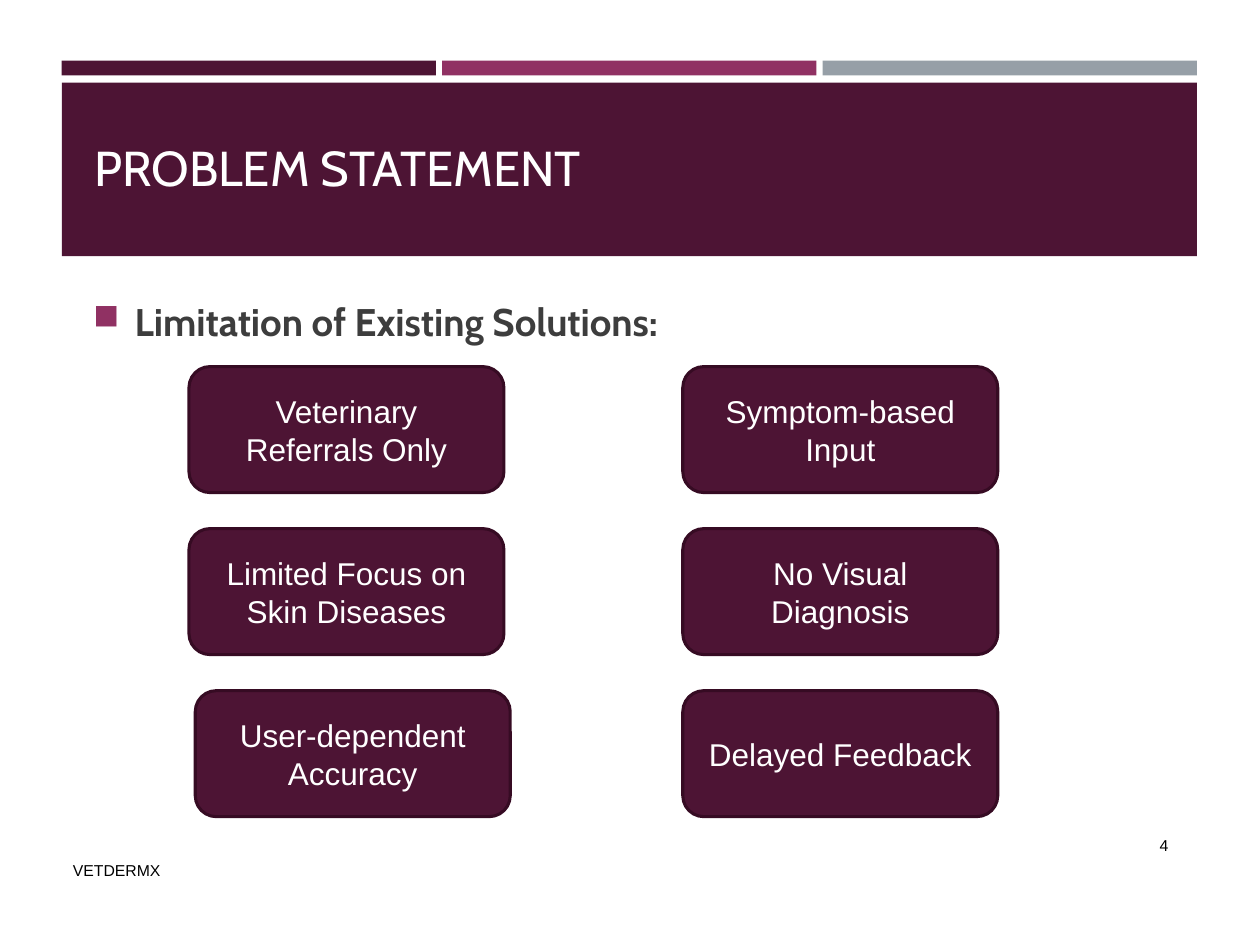
from lxml import etree
from pptx import Presentation
from pptx.dml.color import RGBColor
from pptx.enum import shapes, text
from pptx.oxml.ns import qn
from pptx.util import Pt

PLUM, BERRY, GREY, EDGE = "4D1434", "903163", "969FA7", "360B23"
WHITE, BLACK, DARK = "FFFFFF", "000000", "3D3D3D"

TITLE = "PROBLEM STATEMENT"
HEADING = "Limitation of Existing Solutions:"
FOOTER = "VETDERMX"
PAGE = "4"
BAR_COLORS = [PLUM, BERRY, GREY]
# Each column: left edge and, from the top down, (label, shift to the right)
COLUMNS = [
    (108, [("Veterinary Referrals Only", 0),
           ("Limited Focus on Skin Diseases", 0),
           ("User-dependent Accuracy", 3.6)]),
    (390.2, [("Symptom-based Input", 0),
             ("No Visual Diagnosis", 0),
             ("Delayed Feedback", 0)]),
]

BAND_LEFT, BAND_WIDTH, BAR_GAP = 35.3, 648.7, 3.6
CARD_WIDTH, CARD_HEIGHT, CARD_TOP, CARD_STEP = 180, 72, 209.5, 92.6


def rgb(color):
    return RGBColor.from_string(color)


def add_block(s, kind, box, fill, line=None):
    sp = s.shapes.add_shape(kind, *map(Pt, box))
    sp.shadow.inherit = False
    sp.fill.solid()
    sp.fill.fore_color.rgb = rgb(fill)
    if line:
        sp.line.color.rgb = rgb(line)
        sp.line.width = Pt(1.75)
    else:
        sp.line.fill.background()
    return sp


def add_bullet(p, char, color, percent, indent):
    pPr = p._p.get_or_add_pPr()
    pPr.set("marL", str(Pt(indent)))
    pPr.set("indent", str(-Pt(indent)))
    clr = etree.SubElement(pPr, qn("a:buClr"))
    etree.SubElement(clr, qn("a:srgbClr"), val=color)
    etree.SubElement(pPr, qn("a:buSzPct"), val=str(percent * 1000))
    etree.SubElement(pPr, qn("a:buChar"), char=char)


def write(sp, content, size, color, font="Arial", bold=False, align="LEFT",
          anchor="MIDDLE", spacing=None):
    tf = sp.text_frame
    tf.word_wrap = True
    tf.vertical_anchor = getattr(text.MSO_ANCHOR, anchor)
    p = tf.paragraphs[0]
    p.alignment = getattr(text.PP_ALIGN, align)
    if spacing:
        p.line_spacing = spacing
    r = p.add_run()
    r.text = content
    r.font.name = font
    r.font.size = Pt(size)
    r.font.bold = bold
    r.font.color.rgb = rgb(color)
    return p


def add_label(s, box, content, size, color, **fmt):
    return write(s.shapes.add_textbox(*map(Pt, box)), content, size, color, **fmt)


def main():
    prs = Presentation()
    prs.slide_width, prs.slide_height = Pt(720), Pt(540)
    s = prs.slides.add_slide(prs.slide_layouts[6])
    rect = shapes.MSO_SHAPE.RECTANGLE

    count = len(BAR_COLORS)
    bar_width = (BAND_WIDTH - (count - 1) * BAR_GAP) / count
    for i, color in enumerate(BAR_COLORS):
        left = BAND_LEFT + i * (bar_width + BAR_GAP)
        add_block(s, rect, (left, 34.7, bar_width, 8.4), color)
    add_block(s, rect, (BAND_LEFT, 47.2, BAND_WIDTH, 99.2), PLUM)

    add_label(s, (46.8, 61.9, 499.7, 54), TITLE, 28, WHITE,
              font="Cabin", anchor="BOTTOM")
    heading = add_label(s, (46.1, 168.9, 558, 34.6), HEADING, 22, DARK,
                        font="Cabin", bold=True, spacing=0.8)
    add_bullet(heading, "■", BERRY, 92, 23.8)
    add_label(s, (34.6, 483.1, 383.8, 28.8), FOOTER, 9, BLACK)
    add_label(s, (614.2, 468.7, 60.5, 28.8), PAGE, 9, BLACK, align="RIGHT")

    for left, cards in COLUMNS:
        for row, (label, shift) in enumerate(cards):
            box = (left + shift, CARD_TOP + row * CARD_STEP, CARD_WIDTH, CARD_HEIGHT)
            card = add_block(s, shapes.MSO_SHAPE.ROUNDED_RECTANGLE, box, PLUM, EDGE)
            write(card, label, 18, WHITE, align="CENTER")

    prs.save("out.pptx")


if __name__ == "__main__":
    main()
